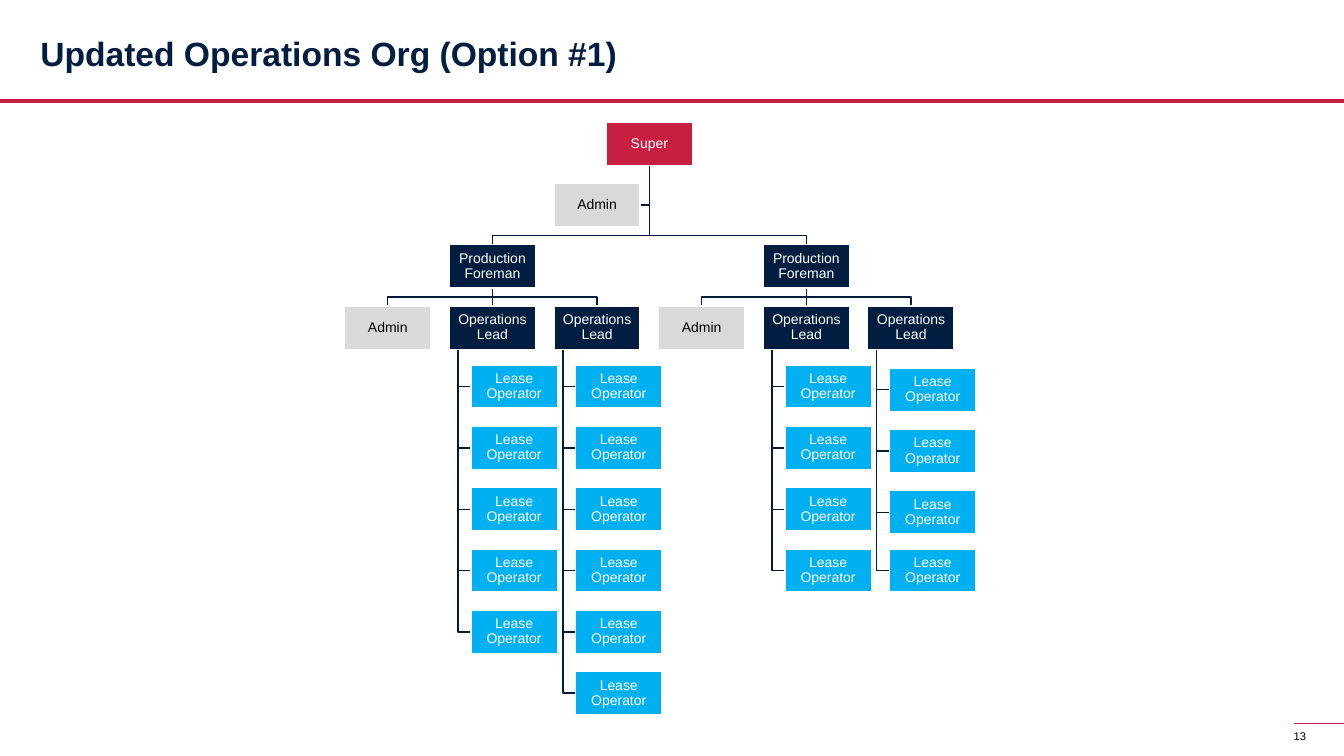
import pptx
import pptx.dml.color
import pptx.enum.shapes
import pptx.enum.text
import pptx.oxml
import pptx.util
from pptx.util import Pt

NAVY, RED, GRAY, BLUE = "011E41", "C71F41", "D9D9D9", "00B0F0"
WHITE, BLACK = "FFFFFF", "000000"
TOP_LINE, BRANCH_LINE = "011834", "011B3B"

BOX_WIDTH, BOX_HEIGHT = 61.7, 30.9
CHART_LEFT, CHART_TOP = 246.1, 87.2
COLUMN_STEP, ROW_STEP = 74.75, 43.8
OPERATOR_TOP, OPERATOR_INDENT, SPINE_INDENT = 260.7, 15.5, 6.4
BUS_GAP = 6.5

# Each foreman: column, then the leads' columns with the downward shift of each operator
FOREMEN = [
    (1, [(1, [0] * 5), (2, [0] * 6)]),
    (4, [(4, [0] * 4), (5, [2.2, 2.2, 2.2, 0])]),
]


def color(value):
    return pptx.dml.color.RGBColor.from_string(value)


def column_left(column):
    return CHART_LEFT + column * COLUMN_STEP


def column_center(column):
    return column_left(column) + BOX_WIDTH / 2


def row_top(row):
    return CHART_TOP + row * ROW_STEP


class SlideBuilder:
    font_name = "Arial"

    def __init__(self, slide):
        self.slide = slide

    def text(self, shape, text, size, hex_color, align=None, anchor="TOP", inset=0, spacing=None, bold=False):
        frame = shape.text_frame
        frame.word_wrap = True
        frame.auto_size = pptx.enum.text.MSO_AUTO_SIZE.NONE
        frame.vertical_anchor = pptx.enum.text.MSO_ANCHOR[anchor]
        frame.margin_left = frame.margin_right = Pt(inset)
        frame.margin_top = frame.margin_bottom = Pt(inset)
        frame.text = text
        paragraph = frame.paragraphs[0]
        paragraph.alignment = pptx.enum.text.PP_ALIGN[align or "LEFT"]
        paragraph.line_spacing = spacing
        paragraph.font.name = self.font_name
        paragraph.font.size = Pt(size)
        paragraph.font.bold = bold
        paragraph.font.color.rgb = color(hex_color)

    def title(self, text, left, top, width, height):
        title = self.slide.shapes.title
        title.left, title.top, title.width, title.height = Pt(left), Pt(top), Pt(width), Pt(height)
        self.text(title, text, 24, NAVY, anchor="MIDDLE", spacing=0.9, bold=True)

    def label(self, text, left, top, width, height):
        shape = self.slide.shapes.add_textbox(Pt(left), Pt(top), Pt(width), Pt(height))
        self.text(shape, text, 8, BLACK)

    def box(self, text, left, top, fill, text_color=WHITE):
        shape = self.slide.shapes.add_shape(
            pptx.enum.shapes.MSO_SHAPE.RECTANGLE, Pt(left), Pt(top), Pt(BOX_WIDTH), Pt(BOX_HEIGHT))
        shape.shadow.inherit = False
        shape.fill.solid()
        shape.fill.fore_color.rgb = color(fill)
        shape.line.color.rgb = color(WHITE)
        shape.line.width = Pt(1)
        self.text(shape, text, 10, text_color, "CENTER", "MIDDLE", 0.7, 0.9)
        return shape

    def line(self, start, end, hex_color, width=1):
        connector = self.slide.shapes.add_connector(
            pptx.enum.shapes.MSO_CONNECTOR.STRAIGHT, *(Pt(value) for value in start + end))
        connector.line.color.rgb = color(hex_color)
        connector.line.width = Pt(width)
        properties = connector._element.spPr
        properties.append(pptx.oxml.parse_xml(
            '<a:effectLst xmlns:a="http://schemas.openxmlformats.org/drawingml/2006/main"/>'))
        return connector

    def elbow(self, points, hex_color):
        start, *rest = [(Pt(x), Pt(y)) for x, y in points]
        builder = self.slide.shapes.build_freeform(*start)
        builder.add_line_segments(rest, close=False)
        shape = builder.convert_to_shape()
        shape.shadow.inherit = False
        shape.fill.background()
        shape.line.color.rgb = color(hex_color)
        shape.line.width = Pt(1)

    def branch(self, start, end, hex_color):
        """Down to a shared bar, across, and down to the box below."""
        bar = end[1] - BUS_GAP
        self.elbow([start, (start[0], bar), (end[0], bar), end], hex_color)


def draw_lead(builder, column, shifts):
    left, top = column_left(column), row_top(3)
    spine, bottom = left + SPINE_INDENT, top + BOX_HEIGHT
    operator_left = left + OPERATOR_INDENT
    operator_tops = [OPERATOR_TOP + index * ROW_STEP + shift for index, shift in enumerate(shifts)]
    for operator_top in operator_tops:
        middle = operator_top + BOX_HEIGHT / 2
        builder.elbow([(spine, bottom), (spine, middle), (operator_left, middle)], BRANCH_LINE)
    lead = builder.box("Operations Lead", left, top, NAVY)
    for operator_top in operator_tops:
        builder.box("Lease Operator", operator_left, operator_top, BLUE)
    return lead


def draw_foreman(builder, column, leads):
    center, top, team_top = column_center(column), row_top(2), row_top(3)
    bottom = (center, top + BOX_HEIGHT)
    for side in (column - 1, column + 1):
        builder.branch(bottom, (column_center(side), team_top), BRANCH_LINE)
    stem = builder.line(bottom, (center, team_top), BRANCH_LINE)
    foreman = builder.box("Production Foreman", column_left(column), top, NAVY)
    builder.box("Admin", column_left(column - 1), team_top, GRAY, BLACK)
    lead_boxes = [draw_lead(builder, *lead) for lead in leads]
    stem.begin_connect(foreman, 2)
    stem.end_connect(lead_boxes[0], 0)


def main():
    presentation = pptx.Presentation()
    presentation.slide_width, presentation.slide_height = Pt(960), Pt(540)
    slide = presentation.slides.add_slide(presentation.slide_layouts[5])
    builder = SlideBuilder(slide)

    # Title, rules and page number
    builder.line((924, 516.5), (960, 516.5), RED, 0.5)
    builder.line((0, 72), (960, 72), RED, 2.75)
    builder.label("13", 924, 521.3, 36, 18.7)
    builder.title("Updated Operations Org (Option #1)", 28.8, 13, 705.6, 53.3)

    # Superintendent level
    super_column, admin_column = 2.5, 2
    super_bottom = (column_center(super_column), row_top(0) + BOX_HEIGHT)
    admin_middle = row_top(1) + BOX_HEIGHT / 2
    builder.elbow([super_bottom, (super_bottom[0], admin_middle),
                   (column_left(admin_column) + BOX_WIDTH, admin_middle)], TOP_LINE)
    for column, _ in FOREMEN:
        builder.branch(super_bottom, (column_center(column), row_top(2)), TOP_LINE)
    builder.box("Super", column_left(super_column), row_top(0), RED)
    builder.box("Admin", column_left(admin_column), row_top(1), GRAY, BLACK)

    # Foremen with their teams
    for column, leads in FOREMEN:
        draw_foreman(builder, column, leads)

    presentation.save("out.pptx")


if __name__ == "__main__":
    main()
